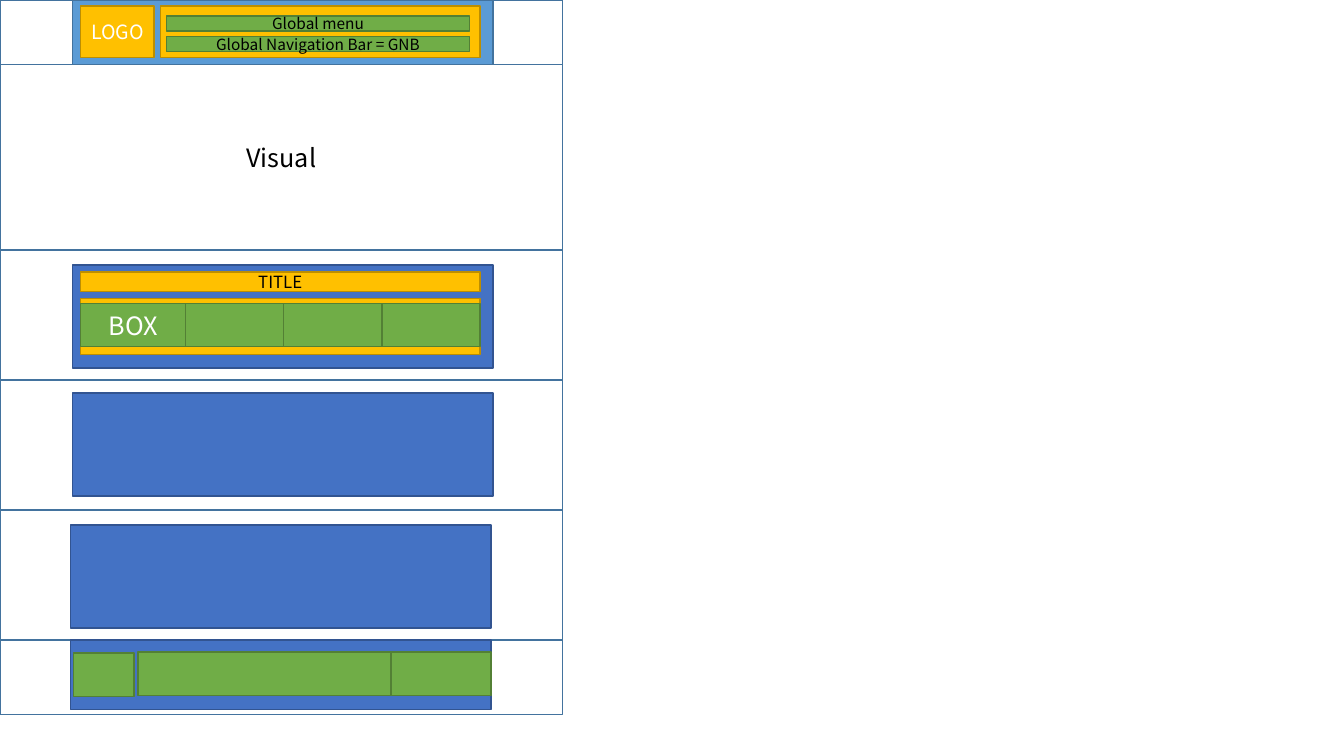
from itertools import accumulate

from pptx import Presentation
from pptx.dml.color import RGBColor
from pptx.enum import shapes, text
from pptx.util import Inches, Pt

FONT = "Noto Sans CJK KR"
BLACK = RGBColor(0x00, 0x00, 0x00)
WHITE = RGBColor(0xFF, 0xFF, 0xFF)
SECTION_LINE = RGBColor(0x43, 0x73, 0x9E)

# Each style is a (fill, line) pair.
SECTION = (None, SECTION_LINE)
HEADER = (RGBColor(0x5B, 0x9B, 0xD5), SECTION_LINE)
CONTAINER = (RGBColor(0x44, 0x72, 0xC4), RGBColor(0x32, 0x54, 0x91))
GROUP = (RGBColor(0xFF, 0xC0, 0x00), RGBColor(0xBD, 0x8E, 0x00))
ITEM = (RGBColor(0x70, 0xAD, 0x47), RGBColor(0x53, 0x80, 0x35))

PAGE_WIDTH = 5.58
CONTENT_WIDTH = 4.17
SECTION_HEIGHTS = [0.64, 1.84, 1.29, 1.29, 1.29, 0.74]


def add_block(slide, style, left, top, width, height):
    block = slide.shapes.add_shape(
        shapes.MSO_SHAPE.RECTANGLE,
        Inches(left), Inches(top), Inches(width), Inches(height))
    fill, line = style
    if fill is None:
        block.fill.background()
    else:
        block.fill.solid()
        block.fill.fore_color.rgb = fill
    block.line.color.rgb = line
    block.line.width = Pt(1)
    block.shadow.inherit = False
    return block


def add_label(block, wording, size, color=BLACK):
    frame = block.text_frame
    frame.margin_left = frame.margin_right = 0
    frame.margin_top = frame.margin_bottom = 0
    frame.vertical_anchor = text.MSO_ANCHOR.MIDDLE
    label = frame.paragraphs[0]
    label.text = wording
    label.alignment = text.PP_ALIGN.CENTER
    label.font.name = FONT
    label.font.size = Pt(size)
    label.font.color.rgb = color


def add_row(slide, style, left, top, widths, height):
    """Place touching blocks from left to right."""
    lefts = accumulate(widths[:-1], initial=left)
    return [add_block(slide, style, x, top, width, height)
            for x, width in zip(lefts, widths)]


def add_sections(slide):
    tops = accumulate(SECTION_HEIGHTS[:-1], initial=0)
    sections = [add_block(slide, SECTION, 0, top, PAGE_WIDTH, height)
                for top, height in zip(tops, SECTION_HEIGHTS)]
    add_label(sections[1], "Visual", 18)


def add_header(slide):
    add_block(slide, HEADER, 0.72, 0, CONTENT_WIDTH, 0.64)
    logo = add_block(slide, GROUP, 0.8, 0.06, 0.73, 0.51)
    add_label(logo, "LOGO", 14, WHITE)
    add_block(slide, GROUP, 1.59, 0.06, 3.17, 0.51)
    for top, wording in [(0.16, "Global menu"),
                         (0.36, "Global Navigation Bar = GNB")]:
        menu = add_block(slide, ITEM, 1.65, top, 3.01, 0.15)
        add_label(menu, wording, 11)


def add_contents(slide):
    for left, top in [(0.72, 2.63), (0.72, 3.9), (0.7, 5.21)]:
        add_block(slide, CONTAINER, left, top, CONTENT_WIDTH, 1.02)
    title = add_block(slide, GROUP, 0.8, 2.7, 3.96, 0.19)
    add_label(title, "TITLE", 12)
    add_block(slide, GROUP, 0.8, 2.96, 3.96, 0.56)
    boxes = add_row(slide, ITEM, 0.8, 3.01, [1.04, 0.97, 0.98, 0.97], 0.43)
    add_label(boxes[0], "BOX", 18, WHITE)


def add_footer(slide):
    add_block(slide, CONTAINER, 0.7, 6.35, CONTENT_WIDTH, 0.69)
    add_block(slide, ITEM, 0.73, 6.48, 0.6, 0.43)
    add_row(slide, ITEM, 1.37, 6.47, [2.51, 0.99], 0.43)


def main():
    deck = Presentation()
    deck.slide_width = Inches(13.33)
    deck.slide_height = Inches(7.5)
    slide = deck.slides.add_slide(deck.slide_layouts[6])
    add_sections(slide)
    add_header(slide)
    add_contents(slide)
    add_footer(slide)
    deck.save("out.pptx")


if __name__ == "__main__":
    main()
